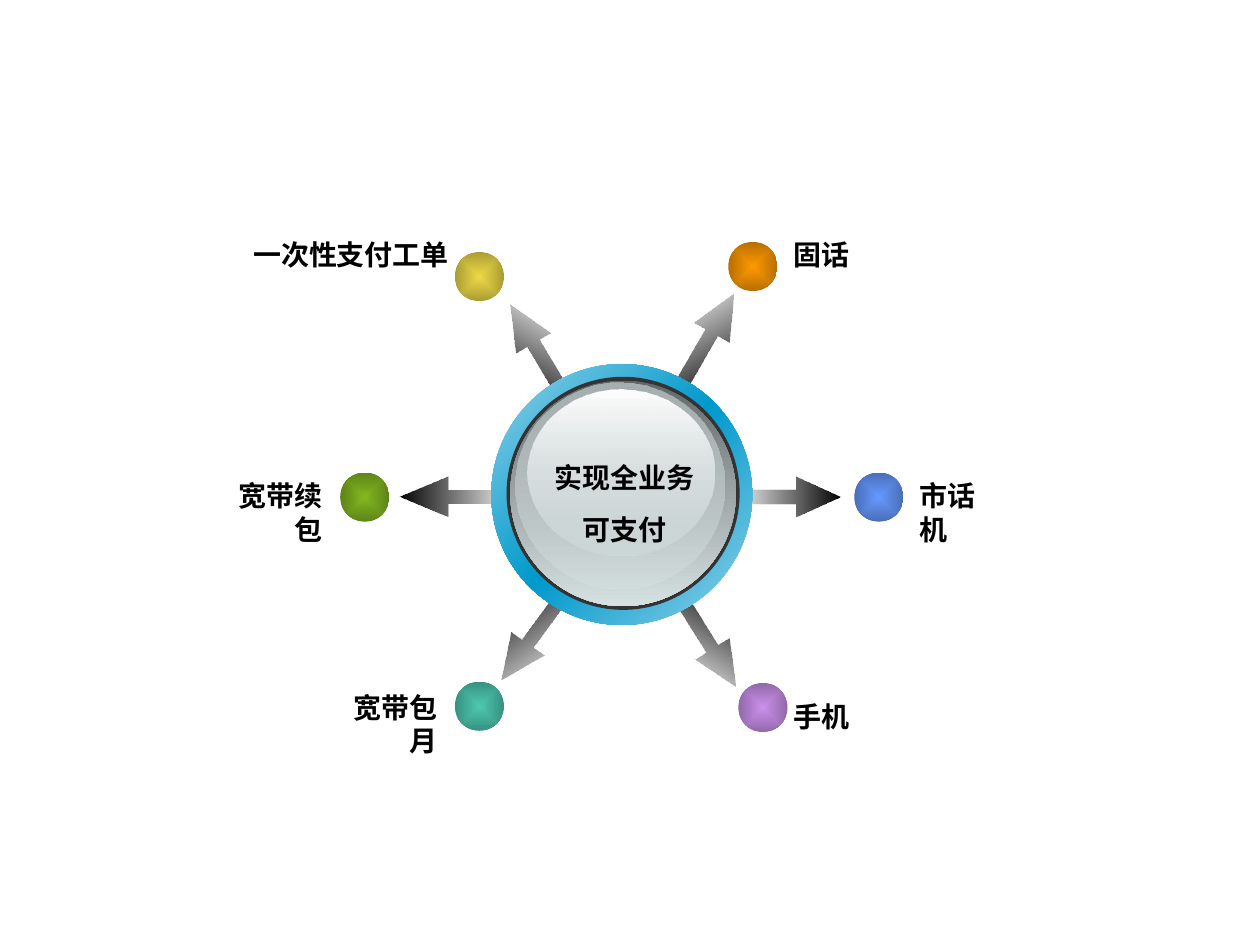
from dataclasses import dataclass
from typing import NamedTuple

from lxml.etree import SubElement as Sub
from pptx import Presentation
from pptx.dml.color import RGBColor as RGB
from pptx.enum.shapes import MSO_SHAPE as Shape
from pptx.enum.text import MSO_ANCHOR as Anchor, MSO_AUTO_SIZE as AutoSize, PP_ALIGN as Align
from pptx.oxml.ns import qn
from pptx.util import Emu, Pt

EMU_PER_PX = 9144


@dataclass(frozen=True)
class Theme:
    font: str = "Arial"
    size: int = 16
    line_gap: int = 10
    text: str = "000000"
    arrow: str = "000000"
    ring: str = "92D2E8"
    ring_mid: str = "0099CC"
    rim: str = "333333"
    glass_dark: str = "626768"
    glass_mid: str = "A8B1B2"
    glass_light: str = "D6E1E2"
    shine: str = "FEFEFE"


class Box(NamedTuple):
    x: int
    y: int
    w: int
    h: int


class Stop(NamedTuple):
    pos: int
    color: str
    alpha: int = 100


class Arrow(NamedTuple):
    box: Box
    rotation: float
    angle: int
    head: float = 1.11


class Ball(NamedTuple):
    x: int
    y: int
    color: str
    edge: str


class Label(NamedTuple):
    box: Box
    lines: tuple[str, ...]
    align: Align


class Disc(NamedTuple):
    box: Box
    stops: tuple[Stop, ...]
    angle: int = 90


T = Theme()
BALL = 39
SHAFT = 0.352

ARROWS = [
    Arrow(Box(517, 255, 87, 32), 299.6, 240),
    Arrow(Box(517, 492, 87, 32), 57.8, 122),
    Arrow(Box(384, 263, 87, 32), 239.5, 300),
    Arrow(Box(380, 488, 87, 32), 125.6, 54),
    Arrow(Box(580, 378, 87, 32), 0, 180),
    Arrow(Box(317, 378, 94, 32), 180, 0, 1.21),
]
LABELS = [
    Label(Box(620, 184, 64, 37), ("固话",), Align.LEFT),
    Label(Box(191, 184, 175, 37), ("一次性支付工单",), Align.RIGHT),
    Label(Box(720, 375, 86, 37), ("市话机",), Align.LEFT),
    Label(Box(620, 550, 64, 37), ("手机",), Align.LEFT),
    Label(Box(158, 375, 108, 37), ("宽带续包",), Align.RIGHT),
    Label(Box(249, 543, 108, 37), ("宽带包月",), Align.RIGHT),
]
BALLS = [
    Ball(361, 541, "4DC9B1", "37917F"),
    Ball(586, 542, "CB90EC", "9268AA"),
    Ball(678, 375, "6699FF", "496EB8"),
    Ball(578, 192, "FF9900", "B86E00"),
    Ball(361, 200, "EDD947", "AB9C33"),
    Ball(270, 375, "82B820", "5D8417"),
]
DISCS = [
    Disc(Box(390, 289, 207, 207),
         (Stop(0, T.ring), Stop(50, T.ring_mid), Stop(100, T.ring)), 225),
    Disc(Box(402, 299, 185, 185), (Stop(0, T.rim),)),
    Disc(Box(405, 302, 179, 179), (Stop(0, T.glass_dark), Stop(100, T.glass_light))),
    Disc(Box(409, 304, 166, 163), (Stop(0, T.glass_mid), Stop(100, T.glass_light, 48))),
    Disc(Box(419, 309, 148, 132), (Stop(0, T.shine), Stop(100, T.glass_light, 38))),
]
CENTER = Label(Box(430, 361, 131, 77), ("实现全业务", "可支付"), Align.CENTER)


def px(n: int) -> Emu:
    return Emu(n * EMU_PER_PX)


def place(box: Box) -> list[Emu]:
    return [px(n) for n in box]


def set_all(target, values: dict) -> None:
    for name, value in values.items():
        setattr(target, name, value)


def gradient(sp, stops: tuple[Stop, ...], angle: int | None) -> None:
    spPr = sp._element.spPr
    grad = spPr.makeelement(qn("a:gradFill"), {"rotWithShape": "0"})
    spPr.find(qn("a:prstGeom")).addnext(grad)
    gsLst = Sub(grad, qn("a:gsLst"))
    for stop in stops:
        gs = Sub(gsLst, qn("a:gs"), pos=str(stop.pos * 1000))
        clr = Sub(gs, qn("a:srgbClr"), val=stop.color)
        if stop.alpha < 100:
            Sub(clr, qn("a:alpha"), val=str(stop.alpha * 1000))
    if angle is None:
        center = Sub(grad, qn("a:path"), path="rect")
        Sub(center, qn("a:fillToRect"), dict.fromkeys("ltrb", "50000"))
    else:
        Sub(grad, qn("a:lin"), ang=str(angle * 60000), scaled="0")


def add_filled(s, kind: Shape, box: Box, stops: tuple[Stop, ...], angle: int | None = None):
    sp = s.shapes.add_shape(kind, *place(box))
    sp.shadow.inherit = False
    sp.line.fill.background()
    if len(stops) == 1:
        sp.fill.solid()
        sp.fill.fore_color.rgb = RGB.from_string(stops[0].color)
    else:
        gradient(sp, stops, angle)
    return sp


def add_arrow(s, arrow: Arrow) -> None:
    stops = (Stop(0, T.arrow), Stop(100, T.arrow, 0))
    sp = add_filled(s, Shape.RIGHT_ARROW, arrow.box, stops, arrow.angle)
    sp.adjustments[0], sp.adjustments[1] = SHAFT, arrow.head
    sp.rotation = arrow.rotation


def add_ball(s, ball: Ball) -> None:
    stops = (Stop(0, ball.color), Stop(100, ball.edge))
    add_filled(s, Shape.OVAL, Box(ball.x, ball.y, BALL, BALL), stops)


def add_label(s, label: Label) -> None:
    tf = s.shapes.add_textbox(*place(label.box)).text_frame
    set_all(tf, {"word_wrap": False, "auto_size": AutoSize.SHAPE_TO_FIT_TEXT,
                 "vertical_anchor": Anchor.TOP})
    for i, line in enumerate(label.lines):
        p = tf.add_paragraph() if i else tf.paragraphs[0]
        p.alignment = label.align
        if i:
            p.space_before = Pt(T.line_gap)
        r = p.add_run()
        r.text = line
        set_all(r.font, {"name": T.font, "size": Pt(T.size), "bold": True})
        r.font.color.rgb = RGB.from_string(T.text)


def main() -> None:
    prs = Presentation()
    set_all(prs, {"slide_width": px(1000), "slide_height": px(750)})
    s = prs.slides.add_slide(prs.slide_layouts[6])
    for arrow in ARROWS:
        add_arrow(s, arrow)
    for label in LABELS:
        add_label(s, label)
    for ball in BALLS:
        add_ball(s, ball)
    for disc in DISCS:
        add_filled(s, Shape.OVAL, disc.box, disc.stops, disc.angle)
    add_label(s, CENTER)
    prs.save("out.pptx")


if __name__ == "__main__":
    main()
